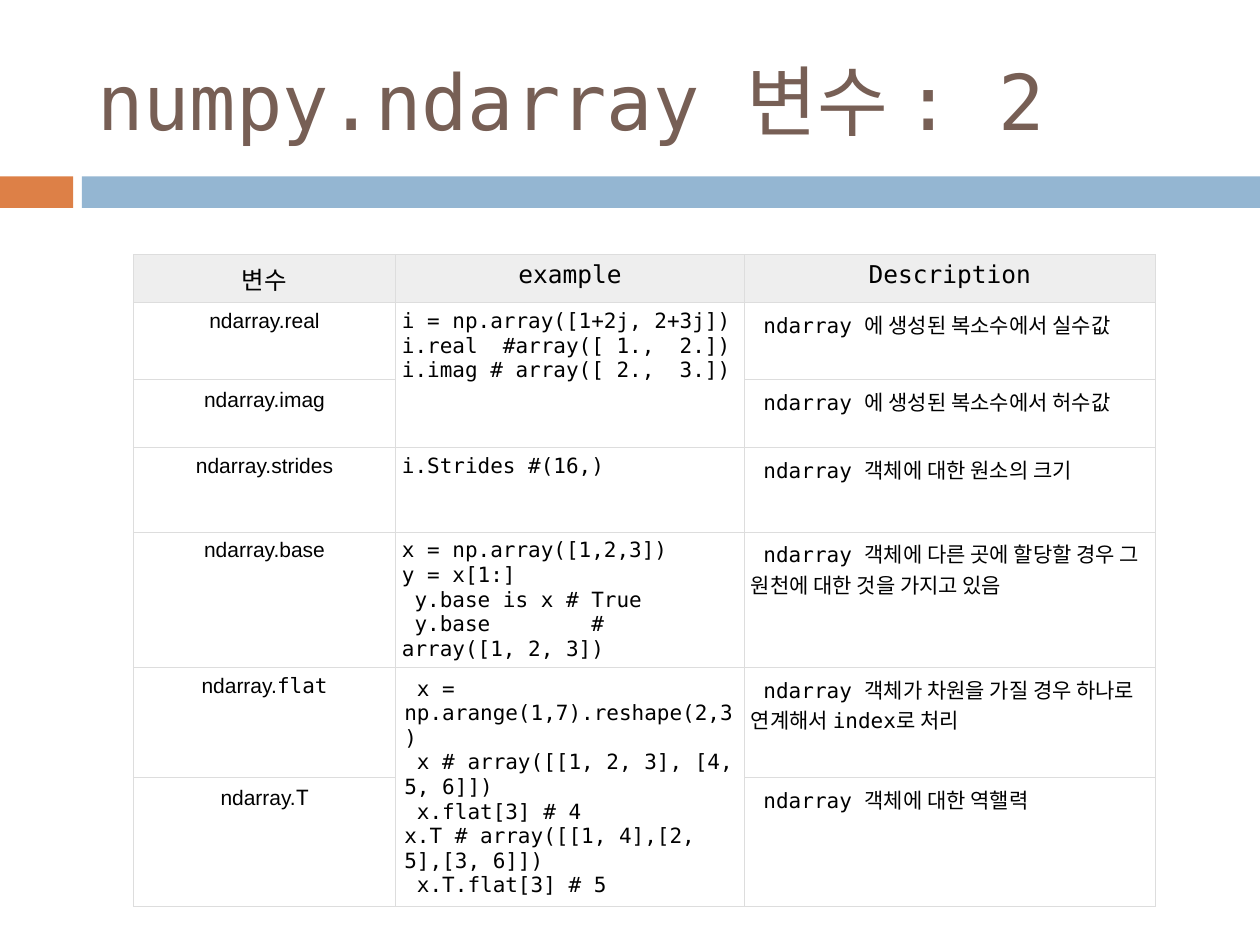
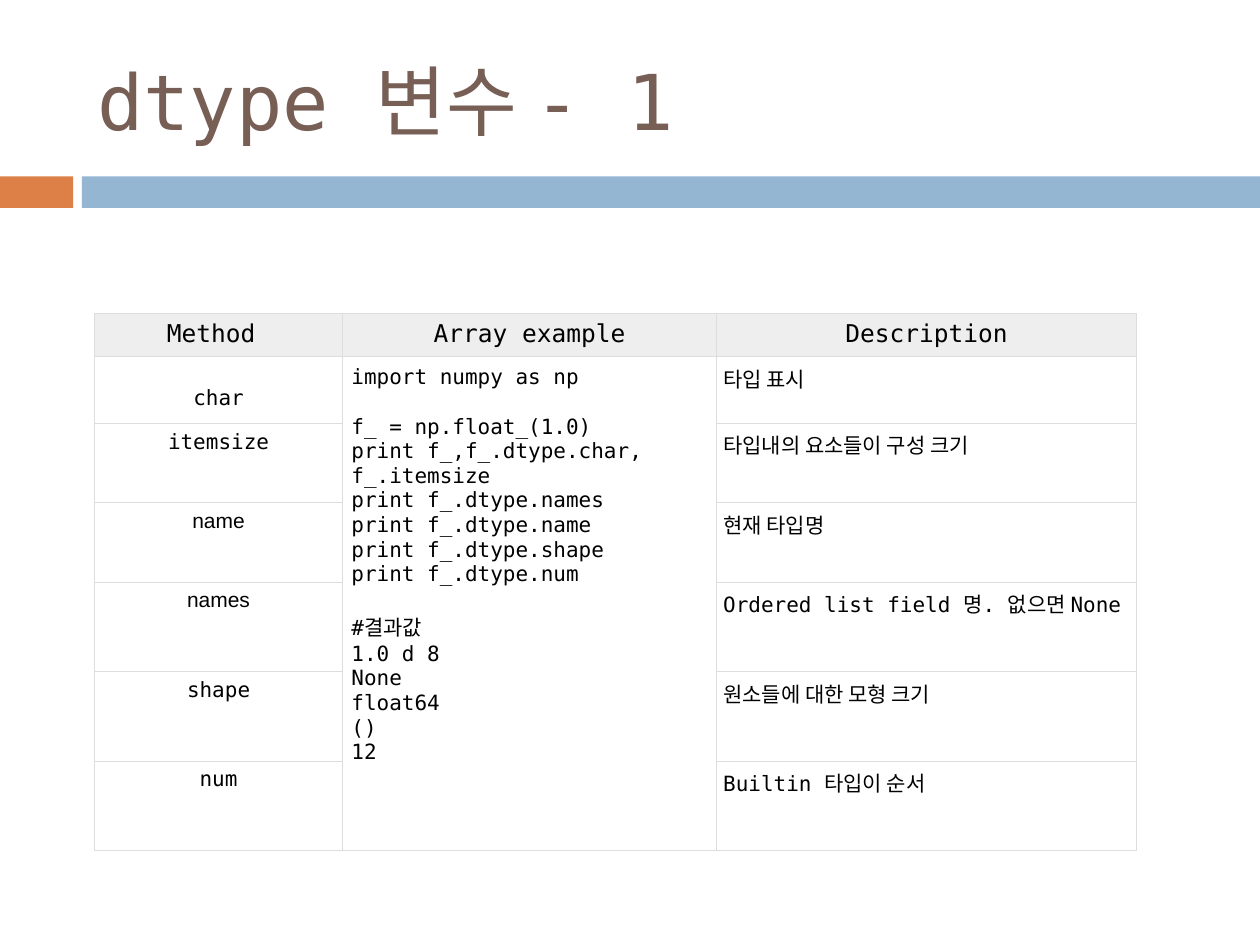
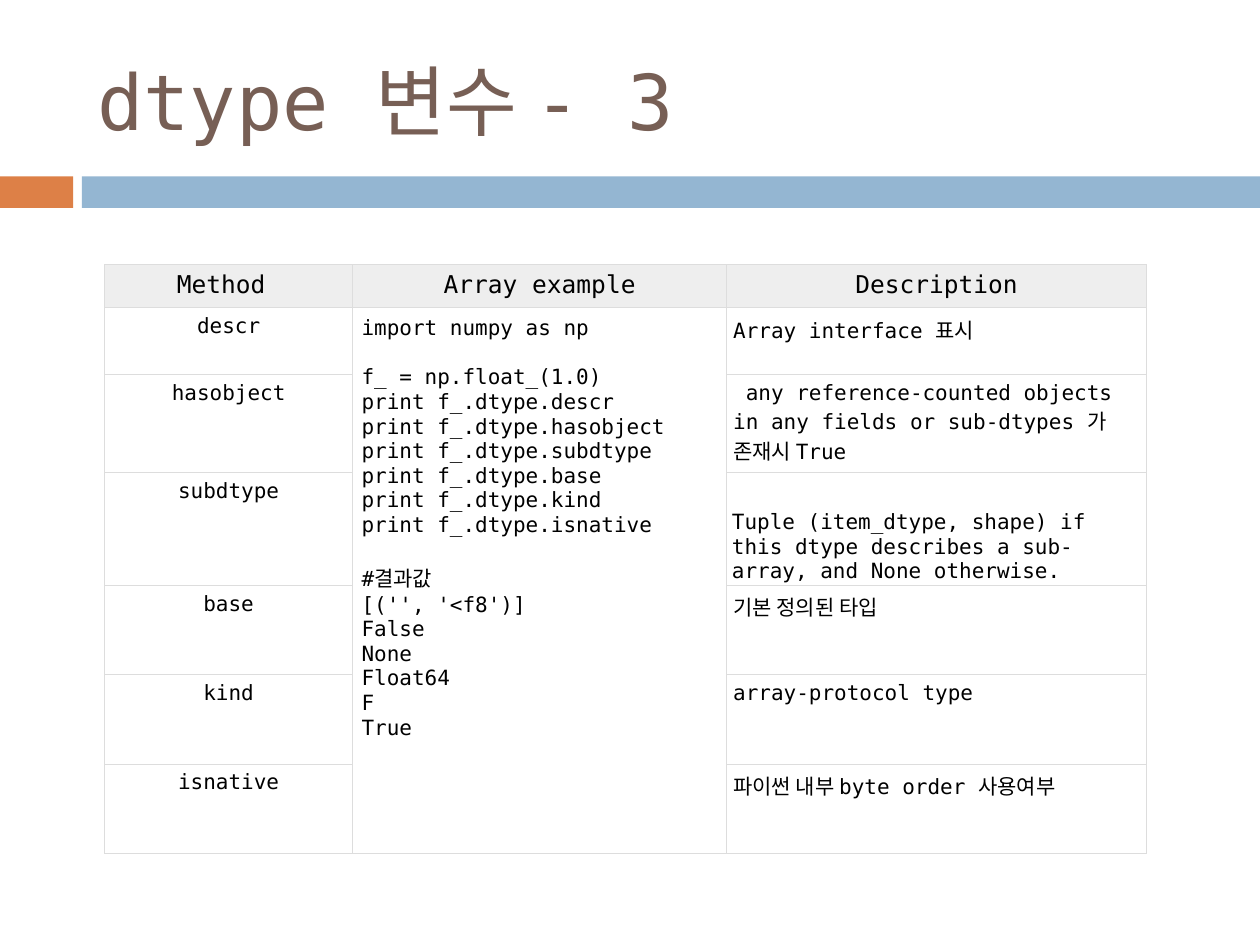
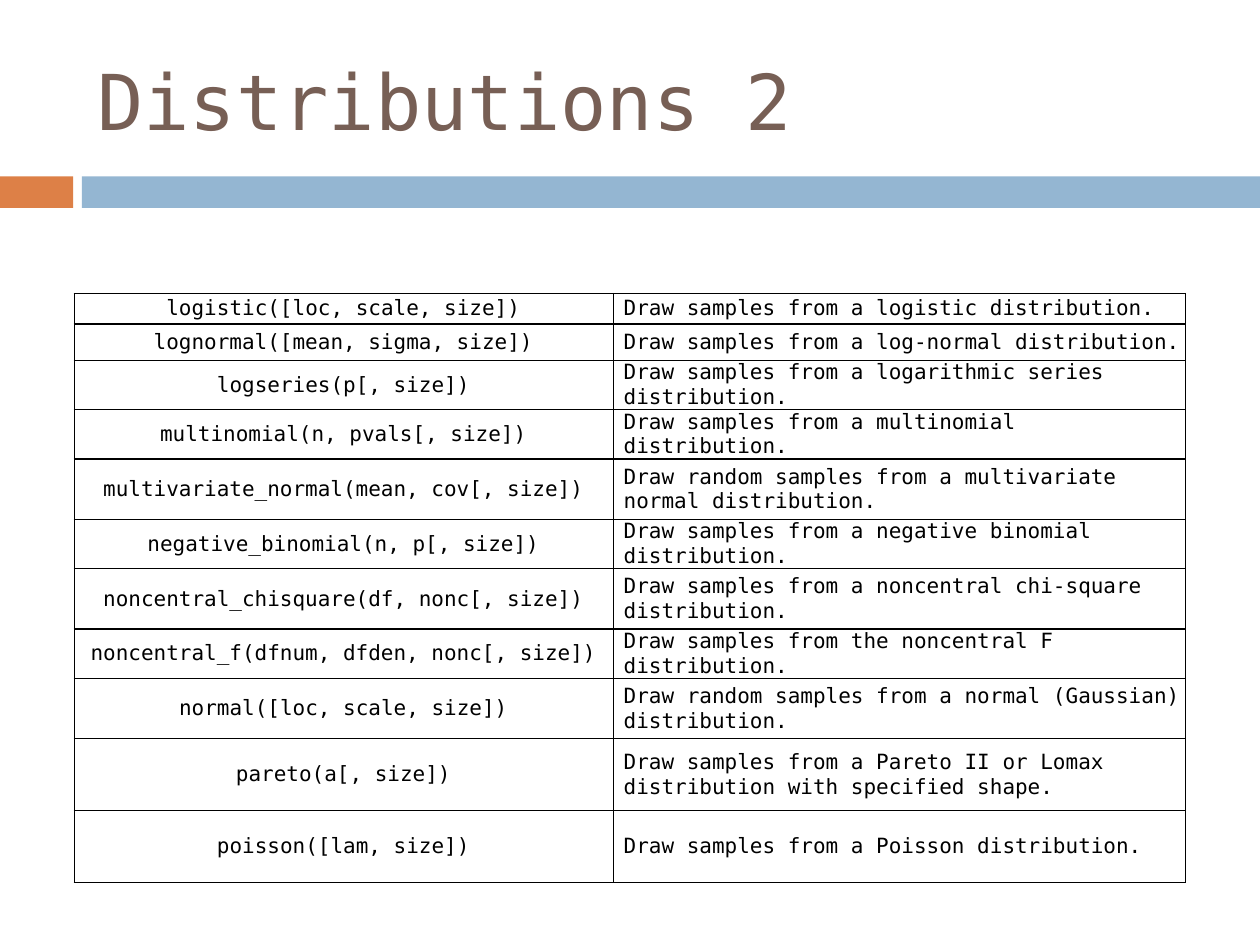
import dataclasses

import lxml.etree
import pptx
import pptx.dml.color
import pptx.enum.shapes
import pptx.enum.text
import pptx.oxml.ns
import pptx.util

Inches = pptx.util.Inches
Pt = pptx.util.Pt
RGBColor = pptx.dml.color.RGBColor
ALIGN = pptx.enum.text.PP_ALIGN
ANCHOR = pptx.enum.text.MSO_ANCHOR

ORANGE = RGBColor(0xDD, 0x80, 0x47)
BLUE = RGBColor(0x94, 0xB6, 0xD2)
BROWN = RGBColor(0x77, 0x5F, 0x55)
BLACK = RGBColor(0, 0, 0)
WHITE = RGBColor(0xFF, 0xFF, 0xFF)
HEADER_GRAY = RGBColor(0xEE, 0xEE, 0xEE)
LINE_GRAY = RGBColor(0xDD, 0xDD, 0xDD)

MONO = "DejaVu Sans Mono"
SANS = "Arial"
TITLE_BOX = (0.67, 0.25, 8.92, 1.08)
BANDS = [((0, 1.4, 0.58, 0.25), ORANGE), ((0.65, 1.4, 9.35, 0.25), BLUE)]
BLANK_LINE = Pt(14)
WIDE_INSETS = {"insets": (0.07,) * 4}


@dataclasses.dataclass
class Label:
    sans: str
    mono: str = ""


NDARRAY_ROWS = [
    ["변수", "example", "Description"],
    [Label("ndarray.real"),
     "i = np.array([1+2j, 2+3j])\ni.real  #array([ 1.,  2.])\n"
     "i.imag # array([ 2.,  3.])",
     " ndarray 에 생성된 복소수에서 실수값"],
    [Label("ndarray.imag"), None, " ndarray 에 생성된 복소수에서 허수값"],
    [Label("ndarray.strides"), "i.Strides #(16,)",
     " ndarray 객체에 대한 원소의 크기"],
    [Label("ndarray.base"),
     "x = np.array([1,2,3])\ny = x[1:]\n y.base is x # True\n"
     " y.base        #  array([1, 2, 3])",
     " ndarray 객체에 다른 곳에 할당할 경우 그 원천에 대한 것을 가지고 있음"],
    [Label("ndarray.", "flat"),
     " x = np.arange(1,7).reshape(2,3)\n"
     " x # array([[1, 2, 3], [4, 5, 6]])\n x.flat[3] # 4\n"
     "x.T # array([[1, 4],[2, 5],[3, 6]])\n x.T.flat[3] # 5",
     " ndarray 객체가 차원을 가질 경우 하나로 연계해서 index로 처리"],
    [Label("ndarray.", "T"), None, " ndarray 객체에 대한 역핼력"],
]

DTYPE_HEADER = ["Method ", "Array example", "Description"]

DTYPE_1_ROWS = [
    DTYPE_HEADER,
    ["char",
     "import numpy as np\n\nf_ = np.float_(1.0)\n"
     "print f_,f_.dtype.char, f_.itemsize\nprint f_.dtype.names\n"
     "print f_.dtype.name\nprint f_.dtype.shape\nprint f_.dtype.num\n\n"
     "#결과값\n1.0 d 8\nNone\nfloat64\n()\n12",
     "타입 표시"],
    ["itemsize", None, "타입내의 요소들이 구성 크기"],
    [Label("name"), None, "현재 타입명"],
    [Label("names"), None, "Ordered list field 명. 없으면 None"],
    ["shape", None, "원소들에 대한 모형 크기"],
    ["num", None, "Builtin 타입이 순서"],
]

DTYPE_3_ROWS = [
    DTYPE_HEADER,
    ["descr",
     "import numpy as np\n\nf_ = np.float_(1.0)\nprint f_.dtype.descr\n"
     "print f_.dtype.hasobject\nprint f_.dtype.subdtype\n"
     "print f_.dtype.base\nprint f_.dtype.kind\nprint f_.dtype.isnative\n\n"
     "#결과값\n[('', '<f8')]\nFalse\nNone\nFloat64\nF\nTrue",
     "Array interface 표시"],
    ["hasobject", None,
     " any reference-counted objects in any fields or sub-dtypes 가 존재시 True"],
    ["subdtype", None,
     "Tuple (item_dtype, shape) if this dtype describes a sub-array, "
     "and None otherwise."],
    ["base", None, "기본 정의된 타입"],
    ["kind", None, "array-protocol type"],
    ["isnative", None, "파이썬 내부 byte order 사용여부"],
]

DISTRIBUTION_ROWS = [
    ["logistic([loc, scale, size])",
     "Draw samples from a logistic distribution."],
    ["lognormal([mean, sigma, size])",
     "Draw samples from a log-normal distribution."],
    ["logseries(p[, size])",
     "Draw samples from a logarithmic series distribution."],
    ["multinomial(n, pvals[, size])",
     "Draw samples from a multinomial distribution."],
    ["multivariate_normal(mean, cov[, size])",
     "Draw random samples from a multivariate normal distribution."],
    ["negative_binomial(n, p[, size])",
     "Draw samples from a negative binomial distribution."],
    ["noncentral_chisquare(df, nonc[, size])",
     "Draw samples from a noncentral chi-square distribution."],
    ["noncentral_f(dfnum, dfden, nonc[, size])",
     "Draw samples from the noncentral F distribution."],
    ["normal([loc, scale, size])",
     "Draw random samples from a normal (Gaussian) distribution."],
    ["pareto(a[, size])",
     "Draw samples from a Pareto II or Lomax distribution with specified shape."],
    ["poisson([lam, size])",
     "Draw samples from a Poisson distribution."],
]


def write_text(frame, text, size=12, color=BLACK, align=ALIGN.LEFT):
    if isinstance(text, Label):
        lines = [[(text.sans, SANS), (text.mono, MONO)]]
    else:
        lines = [[(line, MONO)] for line in text.split("\n")]
    paragraph, after_blank = frame.paragraphs[0], False
    for number, runs in enumerate(lines):
        if not runs[0][0]:
            after_blank = True
            continue
        if number:
            paragraph = frame.add_paragraph()
        paragraph.alignment = align
        if after_blank:
            paragraph.space_before = BLANK_LINE
            after_blank = False
        for words, font_name in runs:
            if words:
                run = paragraph.add_run()
                run.text = words
                run.font.name = font_name
                run.font.size = Pt(size)
                run.font.color.rgb = color


def draw_borders(cell, color, width):
    properties = cell._tc.get_or_add_tcPr()
    qn = pptx.oxml.ns.qn
    for side in ("a:lnL", "a:lnR", "a:lnT", "a:lnB"):
        line = lxml.etree.SubElement(properties, qn(side), w=str(Pt(width)))
        fill = lxml.etree.SubElement(line, qn("a:solidFill"))
        lxml.etree.SubElement(fill, qn("a:srgbClr"), val=str(color))


def format_cell(cell, text, fill=None, border=(LINE_GRAY, 0.6),
                insets=(0.05,) * 4, anchor=ANCHOR.TOP, **text_format):
    draw_borders(cell, *border)
    if fill is None:
        cell.fill.background()
    else:
        cell.fill.solid()
        cell.fill.fore_color.rgb = fill
    (cell.margin_left, cell.margin_top,
     cell.margin_right, cell.margin_bottom) = map(Inches, insets)
    cell.vertical_anchor = anchor
    if text is not None:
        write_text(cell.text_frame, text, **text_format)


def merge_continued_cells(table, rows):
    for column in range(len(rows[0])):
        start = 0
        for row in range(1, len(rows) + 1):
            if row == len(rows) or rows[row][column] is not None:
                if row - start > 1:
                    table.cell(start, column).merge(table.cell(row - 1, column))
                start = row


def add_grid(slide, box, widths, heights, rows, cell_format):
    frame = slide.shapes.add_table(len(rows), len(widths), *map(Inches, box))
    table = frame.table
    table.first_row = table.horz_banding = False
    for column, width in zip(table.columns, widths):
        column.width = Inches(width)
    for row, height in zip(table.rows, heights):
        row.height = Inches(height)
    for r, texts in enumerate(rows):
        for c, text in enumerate(texts):
            format_cell(table.cell(r, c), text, **cell_format(r, c))
    merge_continued_cells(table, rows)


def add_reference_table(slide, box, widths, heights, rows, exceptions):
    def cell_format(row, column):
        if row == 0:
            return {"fill": HEADER_GRAY, "size": 14, "align": ALIGN.CENTER}
        align = ALIGN.LEFT if column else ALIGN.CENTER
        return {"align": align, **exceptions.get((row, column), {})}

    add_grid(slide, box, widths, heights, rows, cell_format)


def add_dtype_table(slide, left, top, height, rows, exceptions):
    add_reference_table(
        slide, (left, top, 8.27, height), [1.97, 2.97, 3.33],
        [0.34, 0.53, 0.63, 0.63, 0.71, 0.71, 0.71], rows,
        {(1, 1): WIDE_INSETS, **exceptions})


def add_distribution_table(slide, box):
    def cell_format(row, column):
        return {"fill": WHITE, "border": (BLACK, 1), "anchor": ANCHOR.MIDDLE,
                "insets": (0.08 if column else 0, 0, 0.01, 0),
                "align": ALIGN.LEFT if column else ALIGN.CENTER}

    heights = [0.24, 0.29, 0.29, 0.29, 0.48, 0.29, 0.48, 0.29, 0.48, 0.57, 0.57]
    add_grid(slide, box, [4.28, 4.54], heights, DISTRIBUTION_ROWS, cell_format)


def move_bands_to_layout(slide):
    layout_tree = slide.slide_layout.shapes.element
    for box, color in BANDS:
        band = slide.shapes.add_shape(
            pptx.enum.shapes.MSO_SHAPE.RECTANGLE, *map(Inches, box))
        band.shadow.inherit = False
        band.fill.solid()
        band.fill.fore_color.rgb = color
        band.line.fill.background()
        layout_tree.append(band.element)


def add_titled_slide(deck, heading):
    slide = deck.slides.add_slide(deck.slide_layouts[5])
    title = slide.shapes.title
    title.left, title.top, title.width, title.height = map(Inches, TITLE_BOX)
    title.text_frame.vertical_anchor = ANCHOR.MIDDLE
    title.text_frame.word_wrap = True
    write_text(title.text_frame, heading, size=44, color=BROWN)
    return slide


def main():
    deck = pptx.Presentation()
    deck.slide_width, deck.slide_height = Inches(10), Inches(7.5)

    ndarray = add_titled_slide(deck, "numpy.ndarray 변수 : 2")
    move_bands_to_layout(ndarray)
    add_reference_table(
        ndarray, (1.06, 2.02, 8.11, 4.8), [2.08, 2.77, 3.26],
        [0.38, 0.61, 0.54, 0.67, 1.03, 0.87, 0.71], NDARRAY_ROWS,
        dict.fromkeys([(2, 0), (5, 1), (6, 0)], WIDE_INSETS))

    dtype_1 = add_titled_slide(deck, "dtype 변수 - 1")
    add_dtype_table(dtype_1, 0.75, 2.49, 4.25, DTYPE_1_ROWS,
                    {(1, 0): {"insets": (0.05, 0.23, 0.05, 0.05)}})

    dtype_3 = add_titled_slide(deck, "dtype 변수 - 3")
    add_dtype_table(dtype_3, 0.83, 2.1, 4.54, DTYPE_3_ROWS,
                    {(3, 2): {"insets": (0.04, 0.3, 0.07, 0.01),
                              "anchor": ANCHOR.MIDDLE}})

    distributions = add_titled_slide(deck, "Distributions 2")
    add_distribution_table(distributions, (0.59, 2.33, 8.82, 4.25))

    deck.save("out.pptx")


if __name__ == "__main__":
    main()
